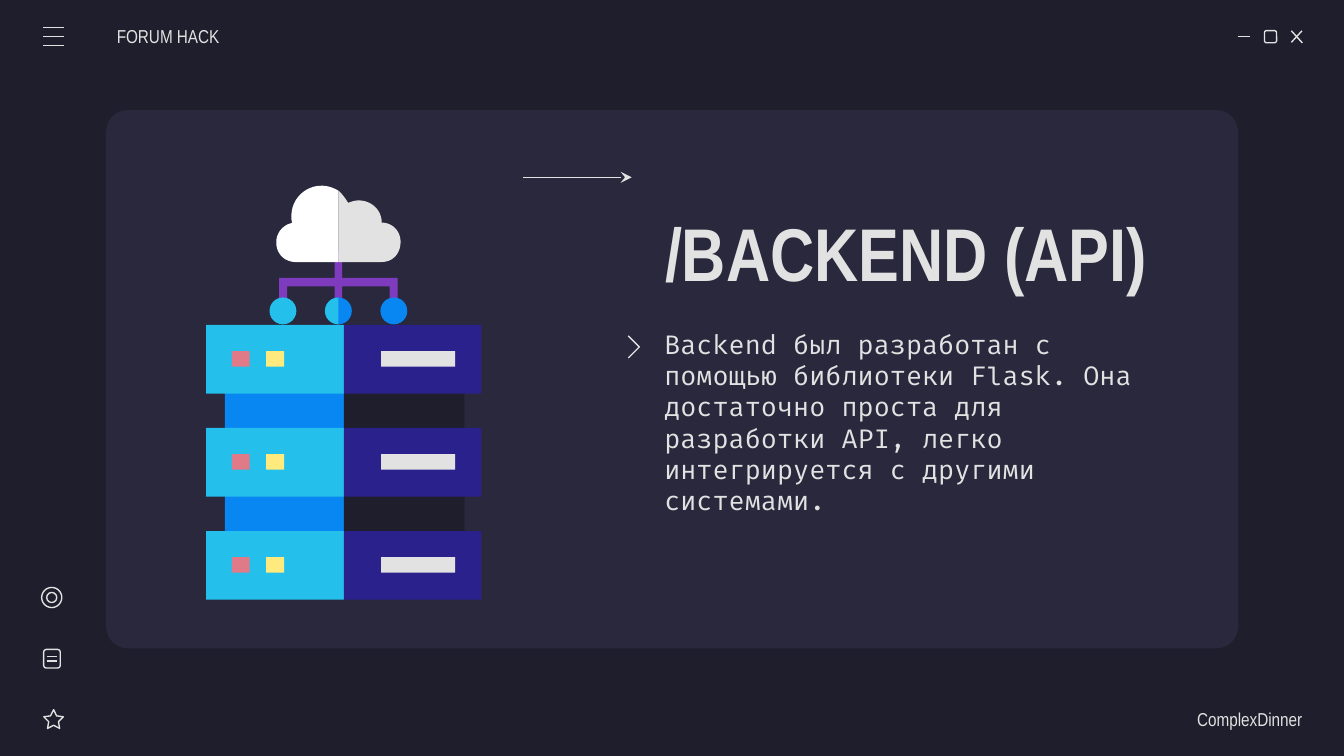
import pptx
import pptx.dml.color
import pptx.enum.shapes
import pptx.enum.text
import pptx.oxml.ns
import pptx.util
from lxml import etree

Pt = pptx.util.Pt
SHAPE = pptx.enum.shapes.MSO_SHAPE
ALIGN = pptx.enum.text.PP_ALIGN
ANCHOR = pptx.enum.text.MSO_ANCHOR

DARK, PANEL, LIGHT, WHITE = "1E1E2C", "29283D", "E2E2E2", "FFFFFF"
CYAN, BLUE, INDIGO, PURPLE = "24BFEB", "0887F2", "2B218D", "7E3BBE"
PINK, YELLOW = "E07A88", "FFEA7D"

# text, box, size, font, bold, alignment, anchor, insets (left, top, right, bottom)
TEXTS = [
    ("FORUM HACK", (62.6, 8.6, 84.2, 21.6), 10, "Arial Narrow", False,
     ALIGN.LEFT, ANCHOR.MIDDLE, (0, 7.2, 7.2, 7.2)),
    ("ComplexDinner", (613.4, 374.4, 84.2, 21.6), 10, "Arial Narrow", False,
     ALIGN.RIGHT, ANCHOR.MIDDLE, (7.2, 7.2, 0, 7.2)),
    ("/BACKEND (API)", (349.2, 103.7, 285.1, 62.6), 40, "Arial Narrow", True,
     ALIGN.LEFT, ANCHOR.MIDDLE, (7.2, 7.2, 7.2, 7.2)),
    ("Backend был разработан с помощью библиотеки Flask. Она достаточно проста "
     "для разработки API, легко интегрируется с другими системами.",
     (348.8, 168.5, 285.1, 117.4), 14, "Fira Code", False,
     ALIGN.LEFT, ANCHOR.TOP, (7.2, 7.2, 7.2, 7.2)),
]

MENU_LINES = [(23.3, y, 34.3, y) for y in (14.6, 19.5, 24.4)]
WINDOW_LINES = [(663, 19.5, 669.7, 19.5), (691.8, 16.5, 697.7, 23), (697.5, 16.5, 691.8, 22.7)]
DOCUMENT_LINES = [(25.1, y, 30.5, y) for y in (351.6, 354.2)]
ICONS = [
    (SHAPE.ROUNDED_RECTANGLE, (677.4, 16.4, 6.5, 6.5)),
    (SHAPE.OVAL, (22.3, 314.7, 10.8, 10.8)),
    (SHAPE.OVAL, (25, 317.4, 5.4, 5.4)),
    (SHAPE.ROUNDED_RECTANGLE, (23.4, 347.9, 8.9, 10)),
    (SHAPE.STAR_5_POINT, (23.5, 380.2, 10.5, 10.1)),
]
ARROW = (280.2, 95, 338.4, 95)
CHEVRON = [(336.6, 180), (342.5, 185.9), (336.6, 191.8)]

# In a cloud outline a pair is a corner and six numbers are a Bezier curve.
CLOUD_RIGHT = [
    (181.3, 102.2), (181.3, 140.4), (204.5, 140.4),
    (210.2, 140.4, 214.6, 136.1, 214.6, 129.6),
    (214.6, 123.8, 210.2, 119.3, 204.5, 119.3),
    (204.5, 112.3, 198.7, 107.4, 192.2, 107.4),
    (190.1, 107.4, 188.6, 108, 186.5, 108.7),
    (185, 106.3, 183.4, 104, 181.3, 102.2),
]
CLOUD_LEFT = [
    (172.1, 99.5),
    (163.4, 99.5, 156.1, 106.8, 156.1, 115.6),
    (156.1, 117, 156.2, 118.3, 156.5, 119.5),
    (151.9, 120.2, 148, 124.6, 148, 129.8),
    (148, 136.1, 152.6, 140.4, 158.4, 140.4),
    (181.3, 140.4), (181.3, 102.2),
    (178.6, 100.5, 175.5, 99.5, 172.1, 99.5),
]
NETWORK = [
    (179.3, 134.6), (179.3, 148.9), (149.5, 148.9), (149.5, 167.8), (153.8, 167.8),
    (153.8, 153.5), (179.3, 153.5), (179.3, 167.8), (183.3, 167.8), (183.3, 153.5),
    (208.8, 153.5), (208.8, 167.8), (213.1, 167.8), (213.1, 148.9), (183.3, 148.9),
    (183.3, 134.6),
]
NODES = [(151.6, CYAN), (181.3, BLUE), (211, BLUE)]
NODE_TOP, NODE_SIZE = 159.4, 14.4

RACK_LEFT, RACK_MIDDLE, RACK_RIGHT = 110.4, 184.2, 257.9
SERVER_TOP, SERVER_PITCH, SERVER_HEIGHT = 174.1, 55.2, 36.8
COLUMNS = [(120.5, RACK_MIDDLE, BLUE), (RACK_MIDDLE, 248.8, DARK)]
SERVER_HALVES = [(RACK_LEFT, RACK_MIDDLE, CYAN), (RACK_MIDDLE, RACK_RIGHT, INDIGO)]
SERVER_LIGHTS = [(124.2, 133.7, PINK), (142.6, 152.2, YELLOW), (204.2, 243.8, LIGHT)]
LIGHT_OFFSET, LIGHT_HEIGHT = 14, 8.4

presentation = pptx.Presentation()
presentation.slide_width, presentation.slide_height = Pt(720), Pt(405)
slide = presentation.slides.add_slide(presentation.slide_layouts[6])


def color(value):
    return pptx.dml.color.RGBColor.from_string(value)


def paint(shape, fill=None):
    """Fill the shape without an outline, or outline it in light grey without a fill."""
    shape.shadow.inherit = False
    if fill:
        shape.fill.solid()
        shape.fill.fore_color.rgb = color(fill)
        shape.line.fill.background()
    else:
        shape.fill.background()
        shape.line.color.rgb = color(LIGHT)
        shape.line.width = Pt(0.75)
    return shape


def add_preset(kind, box, fill=None):
    return paint(slide.shapes.add_shape(kind, *map(Pt, box)), fill)


def add_bands(bands, top, height):
    for left, right, fill in bands:
        add_preset(SHAPE.RECTANGLE, (left, top, right - left, height), fill)


def add_outline(points, fill=None):
    """Draw a closed filled outline, or an open line when there is no fill."""
    corners = [(Pt(x), Pt(y)) for x, y in points]
    builder = slide.shapes.build_freeform(*corners[0])
    builder.add_line_segments(corners[1:], close=bool(fill))
    return paint(builder.convert_to_shape(), fill)


def flatten(outline, steps=12):
    """Turn Bezier curves into short straight steps."""
    points = []
    for part in outline:
        if len(part) == 2:
            points.append(part)
            continue
        controls = [points[-1], part[:2], part[2:4], part[4:]]
        for step in range(1, steps + 1):
            t = step / steps
            weights = ((1 - t) ** 3, 3 * t * (1 - t) ** 2, 3 * t * t * (1 - t), t ** 3)
            points.append(tuple(sum(w * c[axis] for w, c in zip(weights, controls))
                                for axis in (0, 1)))
    return points


def add_line(ends):
    connector = slide.shapes.add_connector(
        pptx.enum.shapes.MSO_CONNECTOR.STRAIGHT, *map(Pt, ends))
    connector.line.color.rgb = color(LIGHT)
    connector.line.width = Pt(0.75)
    etree.SubElement(connector._element.spPr, pptx.oxml.ns.qn("a:effectLst"))
    return connector


def add_text(text, box, size, font, bold, alignment, anchor, insets):
    frame = slide.shapes.add_textbox(*map(Pt, box)).text_frame
    frame.word_wrap = True
    frame.vertical_anchor = anchor
    (frame.margin_left, frame.margin_top,
     frame.margin_right, frame.margin_bottom) = map(Pt, insets)
    paragraph = frame.paragraphs[0]
    paragraph.text = text
    paragraph.alignment = alignment
    paragraph.font.size = Pt(size)
    paragraph.font.name = font
    paragraph.font.bold = bold
    paragraph.font.color.rgb = color(LIGHT)


slide.background.fill.solid()
slide.background.fill.fore_color.rgb = color(DARK)
panel = add_preset(SHAPE.ROUNDED_RECTANGLE, (56.9, 59, 606.4, 288.4), PANEL)
panel.adjustments[0] = 0.04

for ends in MENU_LINES + WINDOW_LINES + DOCUMENT_LINES:
    add_line(ends)
for kind, box in ICONS:
    icon = add_preset(kind, box)
    if kind == SHAPE.STAR_5_POINT:
        icon.adjustments[0] = 0.25

for text in TEXTS:
    add_text(*text)

arrow = add_line(ARROW)
etree.SubElement(arrow.line._get_or_add_ln(), pptx.oxml.ns.qn("a:tailEnd"), type="stealth")
add_outline(CHEVRON)

add_outline(NETWORK, PURPLE)
add_outline(flatten(CLOUD_RIGHT), LIGHT)
add_outline(flatten(CLOUD_LEFT), WHITE)
for center, fill in NODES:
    add_preset(SHAPE.OVAL, (center - NODE_SIZE / 2, NODE_TOP, NODE_SIZE, NODE_SIZE), fill)
half_node = add_preset(
    SHAPE.CHORD, (NODES[1][0] - NODE_SIZE / 2, NODE_TOP, NODE_SIZE, NODE_SIZE), CYAN)
half_node.adjustments[0], half_node.adjustments[1] = 54, 162  # 90 and 270 degrees

add_bands(COLUMNS, SERVER_TOP + SERVER_HEIGHT / 2, 2 * SERVER_PITCH)
for row in range(3):
    top = SERVER_TOP + row * SERVER_PITCH
    add_bands(SERVER_HALVES, top, SERVER_HEIGHT)
    add_bands(SERVER_LIGHTS, top + LIGHT_OFFSET, LIGHT_HEIGHT)

presentation.save("out.pptx")
